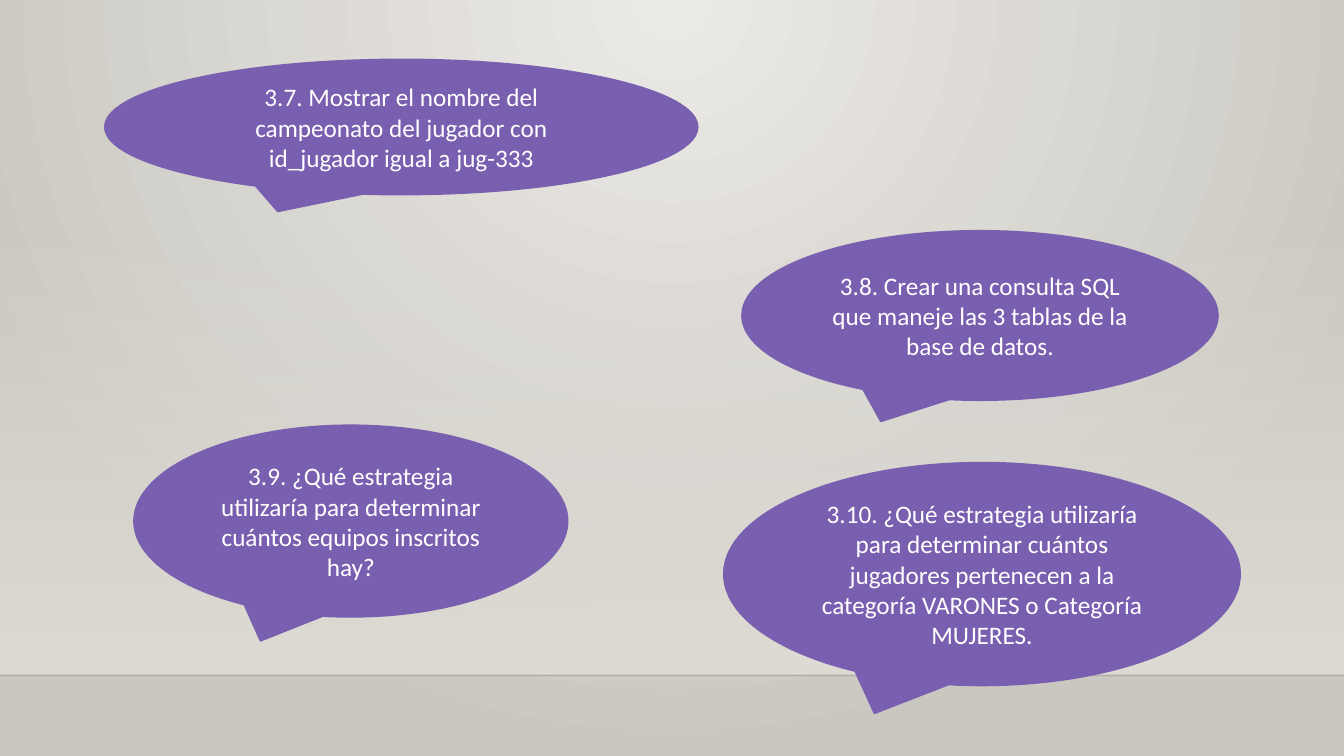
from dataclasses import dataclass

from lxml import etree
from pptx import Presentation, util as u
from pptx.dml.color import RGBColor
from pptx.dml.fill import FillFormat
from pptx.enum import shapes, text
from pptx.oxml import parse_xml
from pptx.oxml.ns import nsdecls, qn
from pptx.slide import Slide

PX = 9144  # EMU per px, 100 px to the inch
WIDE, HIGH = 1333, 750
FLOOR = 670

PURPLE = RGBColor(0x79, 0x5F, 0xAF)
WHITE = RGBColor(0xFF, 0xFF, 0xFF)
BLACK = RGBColor(0x00, 0x00, 0x01)
PALE = RGBColor(0xEC, 0xEA, 0xE7)
STONE = RGBColor(0xCA, 0xC7, 0xC1)
SAND = RGBColor(0xDF, 0xDB, 0xD5)

GLOW = ('<a:path {} path="circle"><a:fillToRect l="43000" t="0" r="43000" '
        'b="100000"/></a:path>').format(nsdecls("a"))
DOWN = '<a:lin {} ang="5400000" scaled="0"/>'.format(nsdecls("a"))


@dataclass(frozen=True)
class Bubble:
    left: int
    top: int
    width: int
    height: int
    lines: tuple[str, ...]


BUBBLES = (
    Bubble(736, 229, 472, 168, (
        "3.8. Crear una consulta SQL que maneje las 3 tablas de la base de datos.",)),
    Bubble(104, 59, 588, 134, (
        "3.7. Mostrar el nombre del campeonato del jugador con id_jugador igual a jug-333",)),
    Bubble(133, 422, 430, 190, (
        "3.9. ¿Qué estrategia utilizaría para determinar cuántos equipos inscritos hay?",)),
    Bubble(718, 459, 512, 221, (
        "3.10. ¿Qué estrategia utilizaría para determinar cuántos jugadores "
        "pertenecen a la categoría VARONES o Categoría",
        "MUJERES.")),
)


def px(*sizes: int) -> list[u.Emu]:
    return [u.Emu(size * PX) for size in sizes]


def fade(color: etree._Element, share: int) -> None:
    """Set the opacity of a colour element, in percent."""
    etree.SubElement(color, qn("a:alpha")).set("val", str(share * 1000))


def blend(fill: FillFormat, root: etree._Element, first: RGBColor,
          last: RGBColor, course: str) -> etree._Element:
    """Fill with two colours along a course and return the gradient element."""
    fill.gradient()
    for stop, color, place in zip(fill.gradient_stops, (first, last), (0, 1)):
        stop.color.rgb = color
        stop.position = place
    grad = next(root.iter(qn("a:gradFill")))
    grad.remove(grad.find(qn("a:lin")))
    grad.append(parse_xml(course))
    return grad


def draw_room(slide: Slide) -> None:
    """Draw the wall and the edge of the floor."""
    blend(slide.background.fill, slide.element, PALE, STONE, GLOW)

    wall = slide.shapes.add_shape(
        shapes.MSO_SHAPE.RECTANGLE, *px(0, 221, WIDE, FLOOR - 221))
    wall.shadow.inherit = False
    wall.line.fill.background()
    grad = blend(wall.fill, wall.element, SAND, SAND, DOWN)
    fade(next(grad.iter(qn("a:srgbClr"))), 0)

    edge = slide.shapes.add_connector(
        shapes.MSO_CONNECTOR.STRAIGHT, *px(0, FLOOR, WIDE, FLOOR))
    edge.line.color.rgb = BLACK
    edge.line.width = u.Pt(1)
    fade(next(edge.element.iter(qn("a:srgbClr"))), 20)
    etree.SubElement(edge.element.spPr, qn("a:effectLst"))


def draw_bubble(slide: Slide, bubble: Bubble) -> None:
    shape = slide.shapes.add_shape(
        shapes.MSO_SHAPE.OVAL_CALLOUT,
        *px(bubble.left, bubble.top, bubble.width, bubble.height))
    shape.shadow.inherit = False
    shape.fill.solid()
    shape.fill.fore_color.rgb = PURPLE
    shape.line.color.rgb = PURPLE
    shape.line.width = u.Pt(1.25)

    frame = shape.text_frame
    frame.word_wrap = True
    frame.vertical_anchor = text.MSO_ANCHOR.MIDDLE
    for index, line in enumerate(bubble.lines):
        para = frame.add_paragraph() if index else frame.paragraphs[0]
        para.alignment = text.PP_ALIGN.CENTER
        run = para.add_run()
        run.text = line
        run.font.name = "Calibri"
        run.font.size = u.Pt(18)
        run.font.color.rgb = WHITE


def main() -> None:
    deck = Presentation()
    deck.slide_width, deck.slide_height = px(WIDE, HIGH)
    slide = deck.slides.add_slide(deck.slide_layouts.get_by_name("Blank"))
    draw_room(slide)
    for bubble in BUBBLES:
        draw_bubble(slide, bubble)
    deck.save("out.pptx")


if __name__ == "__main__":
    main()
